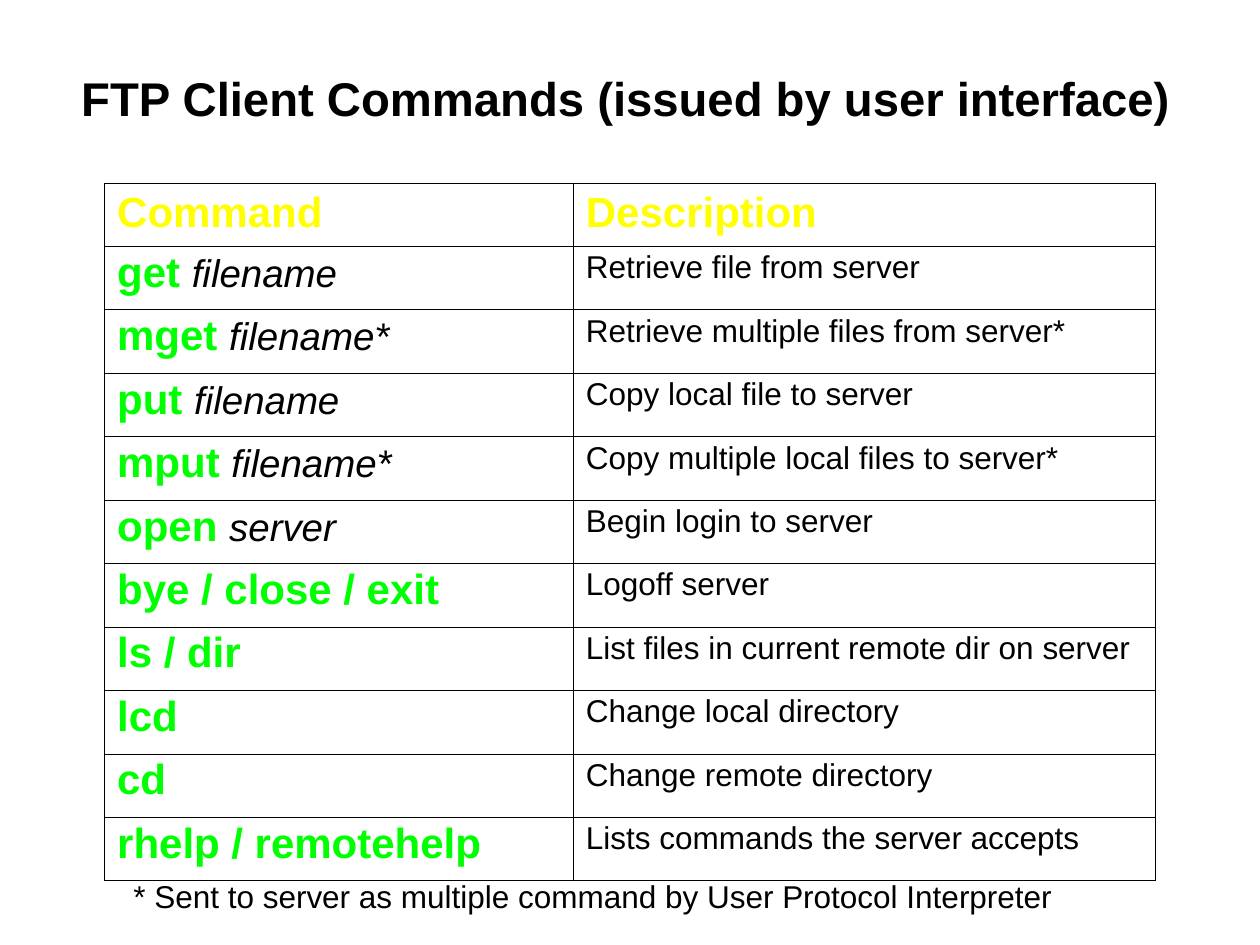
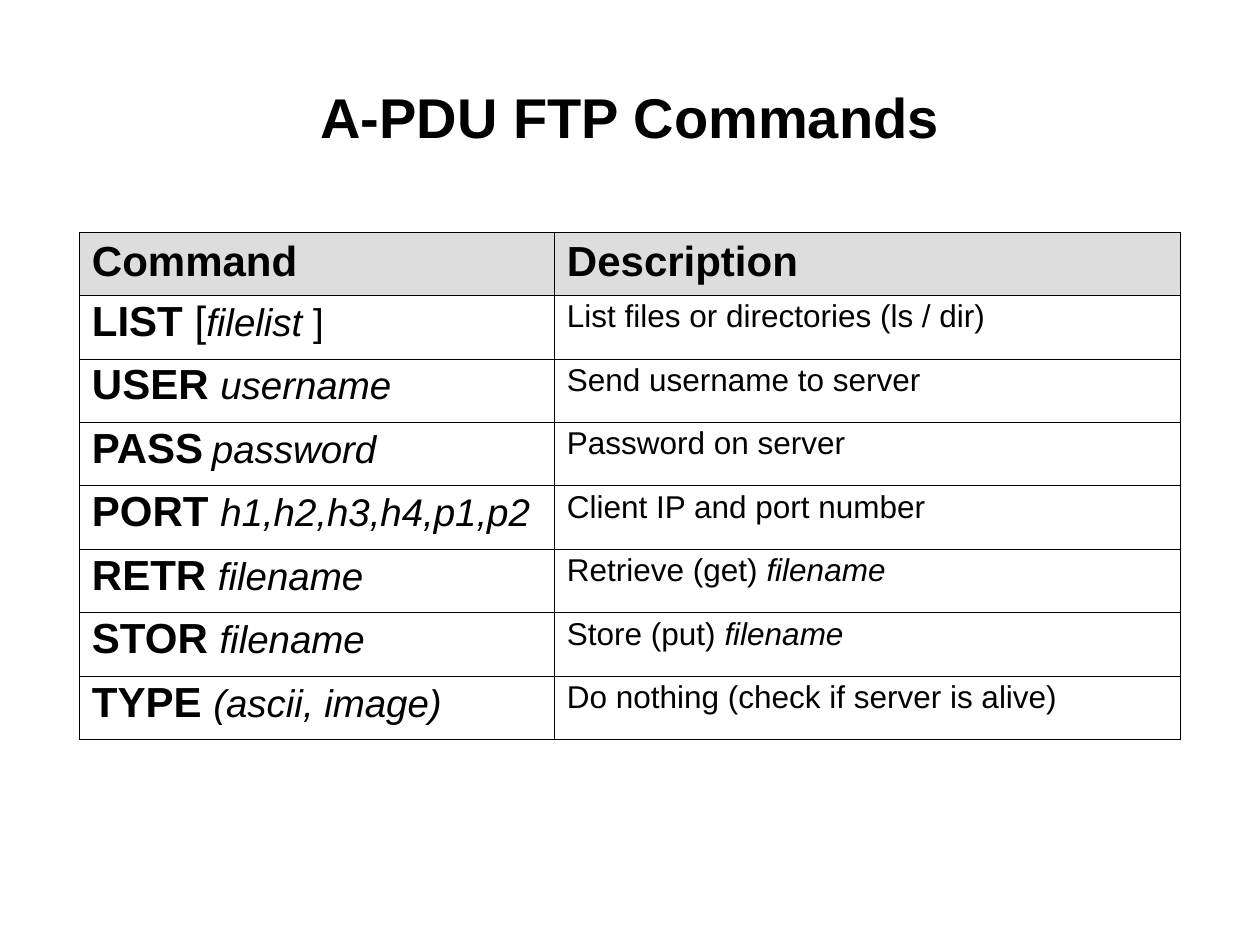
from dataclasses import dataclass
from typing import NamedTuple, Optional

from lxml import etree
from pptx import Presentation
from pptx.dml.color import RGBColor
from pptx.enum.text import MSO_ANCHOR, MSO_AUTO_SIZE, PP_ALIGN
from pptx.oxml.ns import qn
from pptx.util import Inches, Pt

TOP, MIDDLE = MSO_ANCHOR.TOP, MSO_ANCHOR.MIDDLE
CENTER = PP_ALIGN.CENTER
FIXED_SIZE = MSO_AUTO_SIZE.NONE
TITLE_ONLY = 5


# Shared look
@dataclass(frozen=True)
class Theme:
    font: str = "Arial"
    black: str = "000000"
    yellow: str = "FFFF00"
    green: str = "00FF00"
    grey: str = "DDDDDD"
    wide_title_size: int = 27
    title_size: int = 32
    keyword_size: int = 24
    argument_size: int = 22
    body_size: int = 18
    line_spacing: float = 0.93
    outer_border: float = 0.5
    inner_border: float = 0.23


THEME = Theme()


class Span(NamedTuple):
    text: str
    size: int = THEME.body_size
    color: str = THEME.black
    bold: bool = False
    italic: bool = False


class CommandRow(NamedTuple):
    command: list[Span]
    description: list[Span]


@dataclass(frozen=True)
class CommandSlide:
    title: str
    title_size: int
    title_box: tuple[float, float, float, float]
    table_corner: tuple[float, float]
    column_widths: tuple[float, float]
    table_height: float
    header_color: str
    header_fill: Optional[str]
    rows: list[CommandRow]
    footnote: str = ""


# Kinds of text in the tables
def keyword(text: str, color: str = THEME.black) -> Span:
    return Span(text, THEME.keyword_size, color, bold=True)


def argument(text: str) -> Span:
    return Span(text, THEME.argument_size, italic=True)


def client_row(name: str, parameter: str, description: str) -> CommandRow:
    if not parameter:
        return CommandRow([keyword(name, THEME.green)], [Span(description)])
    command = [keyword(name + " ", THEME.green), argument(parameter)]
    return CommandRow(command, [Span(description)])


def protocol_row(name: str, parameter: str, description: str,
                 file: str = "") -> CommandRow:
    spans = [Span(description)]
    if file:
        spans.append(Span(file, italic=True))
    return CommandRow([keyword(name + " "), argument(parameter)], spans)


# Drawing
def add_text(paragraph, text: str, *, size: int = THEME.body_size,
             color: str = THEME.black, bold: bool = False,
             italic: bool = False) -> None:
    run = paragraph.add_run()
    run.text = text
    run.font.name = THEME.font
    run.font.size = Pt(size)
    run.font.color.rgb = RGBColor.from_string(color)
    run.font.bold = bold
    run.font.italic = italic


def add_border(cell, side: str, width: float) -> None:
    properties = cell._tc.get_or_add_tcPr()
    line = etree.SubElement(properties, qn(f"a:ln{side}"), w=str(Pt(width)))
    fill = etree.SubElement(line, qn("a:solidFill"))
    etree.SubElement(fill, qn("a:srgbClr"), val=THEME.black)


def fill_cell(cell, spans: list[Span], anchor, fill: Optional[str]) -> None:
    cell.vertical_anchor = anchor
    cell.margin_left = cell.margin_right = Inches(0.1)
    cell.margin_top = cell.margin_bottom = Inches(0.05)
    if fill:
        cell.fill.solid()
        cell.fill.fore_color.rgb = RGBColor.from_string(fill)
    else:
        cell.fill.background()
    paragraph = cell.text_frame.paragraphs[0]
    paragraph.line_spacing = THEME.line_spacing
    for span in spans:
        add_text(paragraph, **span._asdict())


def add_title(slide, text: str, size: int,
              box: tuple[float, float, float, float]) -> None:
    title = slide.shapes.title
    title.left, title.top, title.width, title.height = map(Inches, box)
    frame = title.text_frame
    frame.word_wrap = True
    frame.auto_size = FIXED_SIZE
    frame.vertical_anchor = MIDDLE
    frame.margin_left = frame.margin_right = 0
    frame.margin_top = frame.margin_bottom = 0
    paragraph = frame.paragraphs[0]
    paragraph.alignment = CENTER
    add_text(paragraph, text, size=size, bold=True)


def add_command_table(slide, content: CommandSlide) -> None:
    header = CommandRow(*([keyword(name, content.header_color)]
                          for name in ("Command", "Description")))
    rows = [header, *content.rows]
    left, top = map(Inches, content.table_corner)
    table = slide.shapes.add_table(
        len(rows), 2, left, top, Inches(sum(content.column_widths)),
        Inches(content.table_height)).table
    table.first_row = table.horz_banding = False
    for column, width in zip(table.columns, content.column_widths):
        column.width = Inches(width)

    outer, inner = THEME.outer_border, THEME.inner_border
    for row_index, row in enumerate(rows):
        is_header = row_index == 0
        is_last = row_index == len(rows) - 1
        for column_index, spans in enumerate(row):
            cell = table.cell(row_index, column_index)
            add_border(cell, "L", outer if column_index == 0 else inner)
            add_border(cell, "R", outer if column_index == 1 else inner)
            add_border(cell, "T", inner)
            add_border(cell, "B", outer if is_last else inner)
            fill_cell(cell, spans, MIDDLE if is_header else TOP,
                      content.header_fill if is_header else None)


def add_footnote(slide, text: str) -> None:
    box = slide.shapes.add_textbox(
        Inches(0.96), Inches(6.91), Inches(7.8), Inches(0.4))
    box.text_frame.word_wrap = True
    box.text_frame.auto_size = FIXED_SIZE
    add_text(box.text_frame.paragraphs[0], text)


# Content
CLIENT_COMMANDS = CommandSlide(
    title="FTP Client Commands (issued by user interface)",
    title_size=THEME.wide_title_size,
    title_box=(0.3, 0.15, 9.33, 1.25),
    table_corner=(0.83, 1.45),
    column_widths=(3.72, 4.62),
    table_height=5.54,
    header_color=THEME.yellow,
    header_fill=None,
    rows=[
        client_row("get", "filename", "Retrieve file from server"),
        client_row("mget", "filename*", "Retrieve multiple files from server*"),
        client_row("put", "filename", "Copy local file to server"),
        client_row("mput", "filename*", "Copy multiple local files to server*"),
        client_row("open", "server", "Begin login to server"),
        client_row("bye / close / exit", "", "Logoff server"),
        client_row("ls / dir", "", "List files in current remote dir on server"),
        client_row("lcd", "", "Change local directory"),
        client_row("cd", "", "Change remote directory"),
        client_row("rhelp / remotehelp", "", "Lists commands the server accepts"),
    ],
    footnote="* Sent to server as multiple command by User Protocol Interpreter",
)

PROTOCOL_COMMANDS = CommandSlide(
    title="A-PDU FTP Commands",
    title_size=THEME.title_size,
    title_box=(0.5, 0.3, 9, 1.25),
    table_corner=(0.63, 1.84),
    column_widths=(3.77, 4.97),
    table_height=4.03,
    header_color=THEME.black,
    header_fill=THEME.grey,
    rows=[
        CommandRow([keyword("LIST"), Span(" [", THEME.keyword_size),
                    argument("filelist "), Span("]", THEME.argument_size)],
                   [Span("List files or directories (ls / dir)")]),
        protocol_row("USER", "username", "Send username to server"),
        CommandRow([keyword("PASS"), Span(" "), argument("password")],
                   [Span("Password on server")]),
        protocol_row("PORT", "h1,h2,h3,h4,p1,p2", "Client IP and port number"),
        protocol_row("RETR", "filename", "Retrieve (get) ", "filename"),
        protocol_row("STOR", "filename", "Store (put) ", "filename"),
        protocol_row("TYPE", "(ascii, image)",
                     "Do nothing (check if server is alive)"),
    ],
)


def main() -> None:
    presentation = Presentation()
    presentation.slide_width = Inches(10)
    presentation.slide_height = Inches(7.5)
    for content in (CLIENT_COMMANDS, PROTOCOL_COMMANDS):
        slide = presentation.slides.add_slide(
            presentation.slide_layouts[TITLE_ONLY])
        add_title(slide, content.title, content.title_size, content.title_box)
        add_command_table(slide, content)
        if content.footnote:
            add_footnote(slide, content.footnote)
    presentation.save("out.pptx")


if __name__ == "__main__":
    main()
